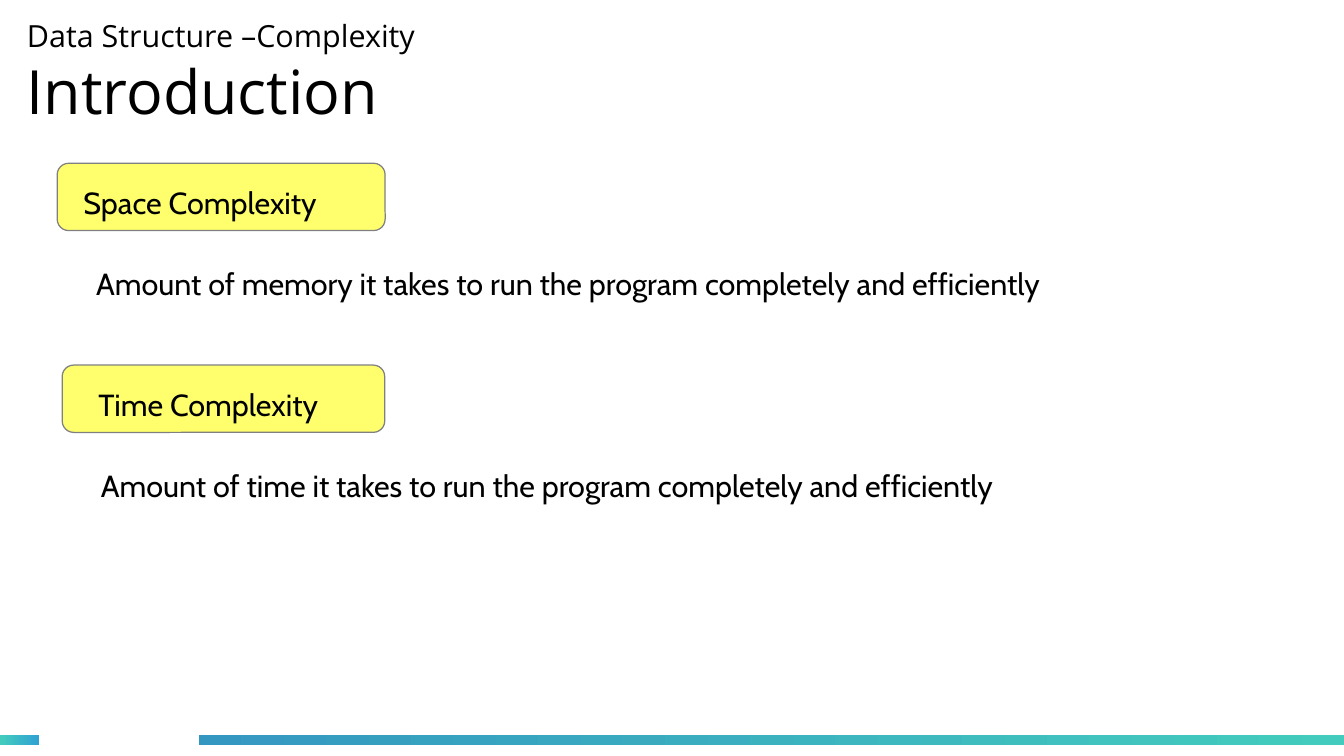
from dataclasses import dataclass

from pptx import Presentation
from pptx.dml.color import RGBColor
from pptx.enum.shapes import MSO_SHAPE
from pptx.enum.text import MSO_ANCHOR, MSO_AUTO_SIZE, PP_ALIGN
from pptx.util import Inches, Pt


@dataclass(frozen=True)
class Theme:
    ink: str = "000000"
    label_fill: str = "FFFF6D"
    label_line: str = "808080"
    teal: str = "43CCBD"
    sky: str = "30A2D2"
    blue: str = "3497C1"
    heading_font: str = "Open Sans"
    body_font: str = "Cabin"
    body_size: int = 18
    heading_size: int = 36


class ComplexityPage:
    def __init__(self, deck, theme):
        self.theme = theme
        self.column = deck.slide_width / 100
        self.row = deck.slide_height / 100
        self.page = deck.slides.add_slide(deck.slide_layouts[5])

    def place(self, left, top, width, height):
        return (round(left * self.column), round(top * self.row),
                round(width * self.column), round(height * self.row))

    def style(self, font, name, size):
        font.name = name
        font.size = Pt(size)
        font.color.rgb = RGBColor.from_string(self.theme.ink)

    def title(self, topic, heading, area):
        box = self.page.shapes.title
        box.left, box.top, box.width, box.height = self.place(*area)
        frame = box.text_frame
        frame.auto_size = MSO_AUTO_SIZE.NONE
        frame.vertical_anchor = MSO_ANCHOR.MIDDLE
        frame.margin_left = frame.margin_right = 0
        frame.margin_top = frame.margin_bottom = 0
        para = frame.paragraphs[0]
        para.alignment = PP_ALIGN.LEFT
        topic_span = para.add_run()
        topic_span.text = topic
        self.style(topic_span.font, self.theme.heading_font, self.theme.body_size)
        para.add_line_break()
        heading_span = para.add_run()
        heading_span.text = heading
        self.style(heading_span.font, self.theme.heading_font, self.theme.heading_size)

    def bar(self, area, start, end):
        box = self.page.shapes.add_shape(MSO_SHAPE.RECTANGLE, *self.place(*area))
        box.shadow.inherit = False
        box.line.fill.background()
        box.fill.gradient()
        box.fill.gradient_angle = 0
        for stop, color in zip(box.fill.gradient_stops, (start, end)):
            stop.color.rgb = RGBColor.from_string(color)

    def body_text(self, box, text):
        frame = box.text_frame
        frame.word_wrap = True
        frame.vertical_anchor = MSO_ANCHOR.TOP
        para = frame.paragraphs[0]
        para.text = text
        para.alignment = PP_ALIGN.LEFT
        self.style(para.font, self.theme.body_font, self.theme.body_size)

    def label(self, text, area, indent):
        box = self.page.shapes.add_shape(MSO_SHAPE.ROUNDED_RECTANGLE, *self.place(*area))
        box.adjustments[0] = 0.17
        box.shadow.inherit = False
        box.fill.solid()
        box.fill.fore_color.rgb = RGBColor.from_string(self.theme.label_fill)
        box.line.color.rgb = RGBColor.from_string(self.theme.label_line)
        box.line.width = Pt(0)
        box.text_frame.margin_left = round(indent * self.column)
        box.text_frame.margin_top = round(2.35 * self.row)
        self.body_text(box, text)

    def description(self, text, area):
        self.body_text(self.page.shapes.add_textbox(*self.place(*area)), text)


def main():
    deck = Presentation()
    deck.slide_width, deck.slide_height = Inches(11.02), Inches(6.2)
    theme = Theme()
    page = ComplexityPage(deck, theme)
    page.bar((0, 97.2, 2.9, 1.4), theme.teal, theme.sky)
    page.bar((14.8, 97.2, 85.2, 1.4), theme.blue, theme.teal)
    page.title("Data Structure –Complexity", "Introduction", (2, 1.3, 69.7, 16.45))

    sections = (
        ("Space", "memory", 4.26, 24.4, 1.7, 6.26, 89.5),
        ("Time", "time", 4.63, 24, 2.45, 6.62, 84.1),
    )
    for index, (kind, resource, left, width, indent, text_left, text_width) in enumerate(sections):
        top = 21.6 + 26.7 * index
        page.label(f"{kind} Complexity", (left, top, width, 8.9), indent)
        page.description(
            f"Amount of {resource} it takes to run the program completely and efficiently",
            (text_left, top + 12.65, text_width, 7.1),
        )
    deck.save("out.pptx")


if __name__ == "__main__":
    main()
